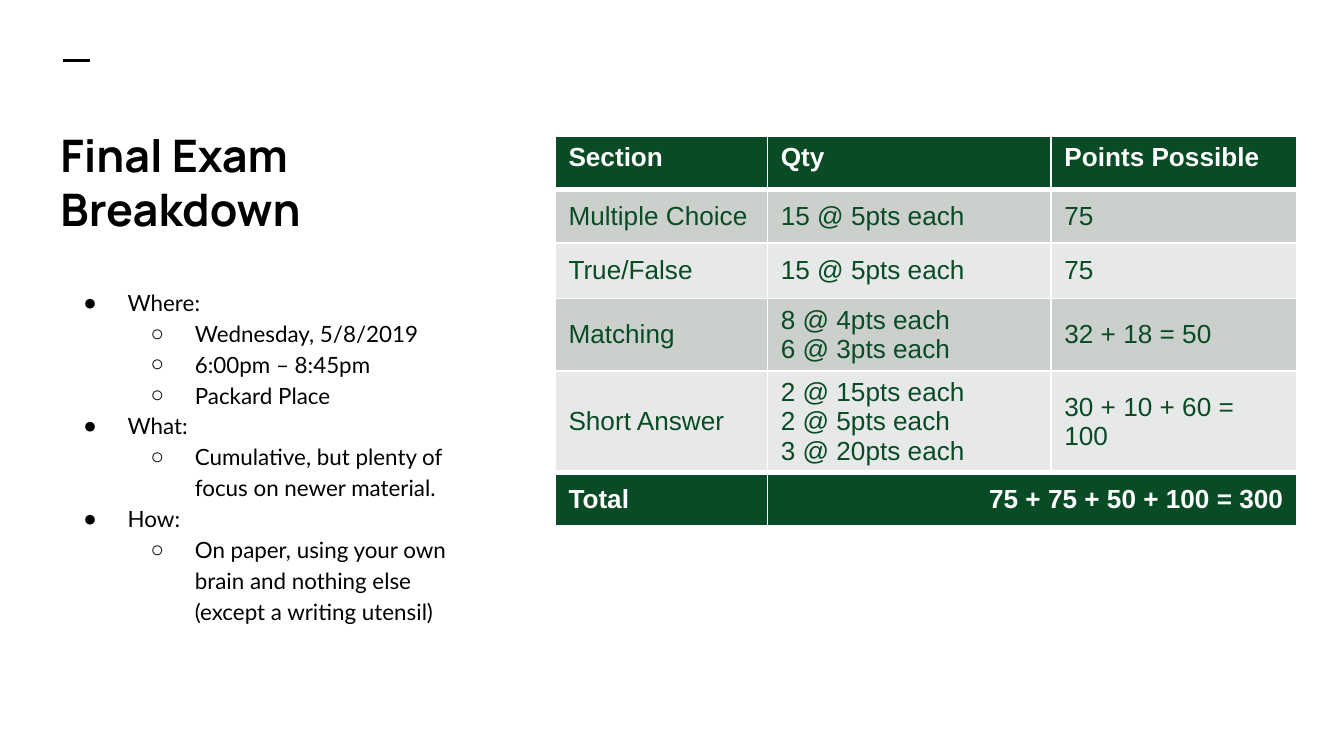
"""Build the final exam breakdown slide with an outline and a points table."""
from lxml.etree import SubElement
from pptx import Presentation
from pptx.dml.color import RGBColor
from pptx.enum.shapes import MSO_CONNECTOR
from pptx.enum.text import MSO_ANCHOR, MSO_AUTO_SIZE, PP_ALIGN
from pptx.oxml import parse_xml
from pptx.oxml.ns import nsdecls, qn
from pptx.util import Inches, Pt

BLACK = RGBColor(0x00, 0x00, 0x00)
WHITE = RGBColor(0xFF, 0xFF, 0xFF)
GREEN = RGBColor(0x08, 0x4B, 0x25)
DARK = RGBColor(0xCC, 0xD0, 0xCD)
LIGHT = RGBColor(0xE7, 0xE9, 0xE8)

TITLE = "Final Exam Breakdown"
POINTS = [
    ("Where:", ["Wednesday, 5/8/2019", "6:00pm – 8:45pm", "Packard Place"]),
    ("What:", ["Cumulative, but plenty of focus on newer material."]),
    ("How:", ["On paper, using your own brain and nothing else (except a writing utensil)"]),
]
ROWS = [
    ("Section", "Qty", "Points Possible"),
    ("Multiple Choice", "15 @ 5pts each", "75"),
    ("True/False", "15 @ 5pts each", "75"),
    ("Matching", "8 @ 4pts each\n6 @ 3pts each", "32 + 18 = 50"),
    ("Short Answer", "2 @ 15pts each\n2 @ 5pts each\n3 @ 20pts each", "30 + 10 + 60 = 100"),
    ("Total", "75 + 75 + 50 + 100 = 300", ""),
]
WIDTHS = [1.58, 2.11, 1.83]
HEIGHTS = [0.4, 0.4, 0.41, 0.54, 0.74, 0.4]


def write(para, text, font, size, color=BLACK, bold=False, align=PP_ALIGN.LEFT, space=1.0):
    para.alignment = align
    para.line_spacing = space
    para.space_before = para.space_after = Pt(0)
    run = para.add_run()
    run.text = text
    run.font.name = font
    run.font.size = Pt(size)
    run.font.bold = bold
    run.font.color.rgb = color


def place(shape, left, top, width, height, anchor):
    shape.left, shape.top = Inches(left), Inches(top)
    shape.width, shape.height = Inches(width), Inches(height)
    frame = shape.text_frame
    frame.word_wrap = True
    frame.auto_size = MSO_AUTO_SIZE.NONE
    frame.vertical_anchor = anchor
    frame.margin_left = frame.margin_right = Inches(0.1)
    frame.margin_top = frame.margin_bottom = Inches(0.1)
    return frame


def bullet(para, level):
    para.level = level
    props = para._p.get_or_add_pPr()
    props.set("marL", str(Inches(0.5 * (level + 1))))
    props.set("indent", str(Inches(-0.33)))
    SubElement(props, qn("a:buFont"), typeface="Arial")
    SubElement(props, qn("a:buChar"), char="●○"[level])


def border(cell, top, bottom):
    props = cell._tc.get_or_add_tcPr()
    sides = [("L", 1), ("R", 1), ("T", top), ("B", bottom)]
    for i, (side, width) in enumerate(sides):
        props.insert(i, parse_xml(
            f'<a:ln{side} {nsdecls("a")} w="{Pt(width)}"><a:solidFill>'
            f'<a:srgbClr val="{WHITE}"/></a:solidFill></a:ln{side}>'))


def add_rule(slide):
    rule = slide.shapes.add_connector(
        MSO_CONNECTOR.STRAIGHT, Inches(0.47), Inches(0.45), Inches(0.67), Inches(0.45))
    rule.line.color.rgb = BLACK
    rule.line.width = Pt(1.5)
    SubElement(rule._element.spPr, qn("a:effectLst"))


def add_text(slide):
    frame = place(slide.shapes.title, 0.35, 1.02, 3.08, 0.83, MSO_ANCHOR.BOTTOM)
    write(frame.paragraphs[0], TITLE, "Manrope", 24, bold=True)
    frame = place(slide.placeholders[1], 0.35, 2.02, 3.08, 3.07, MSO_ANCHOR.TOP)
    items = [(text, level) for head, subs in POINTS
             for text, level in [(head, 0)] + [(sub, 1) for sub in subs]]
    for i, (text, level) in enumerate(items):
        para = frame.add_paragraph() if i else frame.paragraphs[0]
        write(para, text, "Lato", 12, space=1.15)
        bullet(para, level)


def add_grid(slide):
    last = len(ROWS) - 1
    grid = slide.shapes.add_table(
        len(ROWS), len(WIDTHS), Inches(4.13), Inches(1.01),
        Inches(sum(WIDTHS)), Inches(sum(HEIGHTS))).table
    for col, width in zip(grid.columns, WIDTHS):
        col.width = Inches(width)
    for row, height in zip(grid.rows, HEIGHTS):
        row.height = Inches(height)
    grid.cell(last, 1).merge(grid.cell(last, 2))
    for r, row in enumerate(ROWS):
        edge = r in (0, last)
        for c, text in enumerate(row):
            cell = grid.cell(r, c)
            cell.fill.solid()
            cell.fill.fore_color.rgb = GREEN if edge else (DARK if r % 2 else LIGHT)
            border(cell, 3 if r in (1, last) else 1, 3 if r in (0, last - 1) else 1)
            cell.vertical_anchor = MSO_ANCHOR.MIDDLE if r else MSO_ANCHOR.TOP
            if cell.is_spanned:
                continue
            align = PP_ALIGN.RIGHT if cell.is_merge_origin else PP_ALIGN.LEFT
            for i, line in enumerate(text.split("\n")):
                para = cell.text_frame.add_paragraph() if i else cell.text_frame.paragraphs[0]
                write(para, line, "Arial", 14, color=WHITE if edge else GREEN,
                      bold=edge, align=align)


def main():
    deck = Presentation()
    deck.slide_width, deck.slide_height = Inches(10), Inches(10 * 9 / 16)
    slide = deck.slides.add_slide(deck.slide_layouts[1])
    add_rule(slide)
    add_text(slide)
    add_grid(slide)
    deck.save("out.pptx")


if __name__ == "__main__":
    main()
